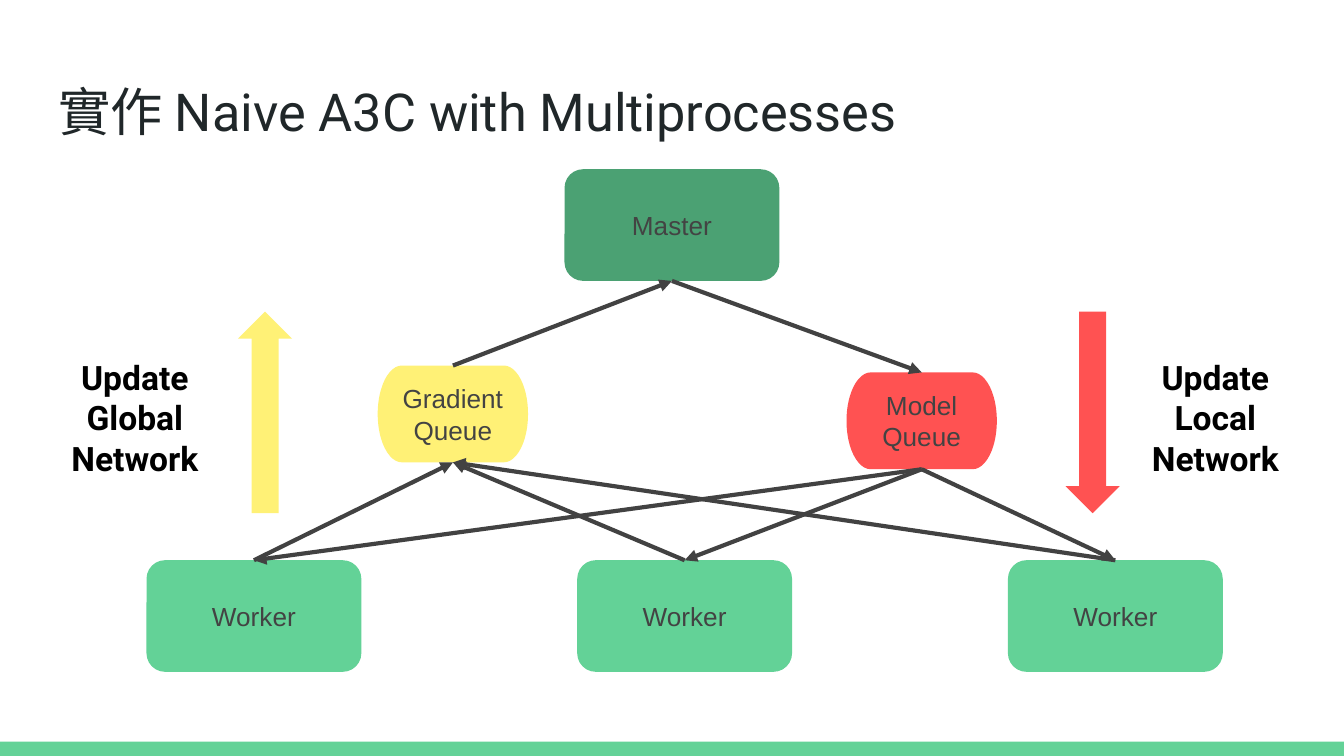
from dataclasses import dataclass

from lxml import etree
from pptx import Presentation
from pptx.dml.color import RGBColor
from pptx.enum.shapes import MSO_CONNECTOR, MSO_SHAPE
from pptx.enum.text import MSO_ANCHOR, PP_ALIGN
from pptx.oxml.ns import qn
from pptx.util import Cm, Pt

BAR, BOX = MSO_SHAPE.RECTANGLE, MSO_SHAPE.ROUNDED_RECTANGLE
QUEUE, BLOCK_ARROW = MSO_SHAPE.FLOWCHART_TERMINATOR, MSO_SHAPE.UP_ARROW
STRAIGHT = MSO_CONNECTOR.STRAIGHT
LEFT, CENTER = PP_ALIGN.LEFT, PP_ALIGN.CENTER
TOP, MIDDLE = MSO_ANCHOR.TOP, MSO_ANCHOR.MIDDLE
TOP_SITE, BOTTOM_SITE = 0, 2

COLORS = {
    "title": "202729",
    "label": "000000",
    "node_text": "434343",
    "line": "424242",
    "master": "4BA173",
    "worker": "63D297",
    "gradient": "FFF176",
    "model": "FF5252",
}
TITLE_FONT = {"name": "Roboto", "size": Pt(28), "bold": False}
LABEL_FONT = {"name": "Roboto", "size": Pt(18), "bold": True}
NODE_FONT = {"name": "Arial", "size": Pt(14), "bold": False}

BOX_SIZE = (4.06, 2.11)
QUEUE_SIZE = (2.84, 1.83)
ARROW_SIZE = (1.02, 3.81)
LABEL_SIZE = (3.78, 2.9)
WORKER_LEFT, WORKER_TOP, WORKER_PITCH = 2.77, 10.59, 8.14


@dataclass(frozen=True)
class Block:
    """A filled shape, with its place and size in centimetres."""
    kind: int
    left: float
    top: float
    size: tuple[float, float]
    color: str
    text: str = ""
    rotation: int = 0


@dataclass(frozen=True)
class Label:
    left: float
    text: str


MASTER = Block(BOX, 10.67, 3.2, BOX_SIZE, "master", "Master")
GRADIENT_QUEUE = Block(QUEUE, 7.14, 6.91, QUEUE_SIZE, "gradient", "Gradient\nQueue")
MODEL_QUEUE = Block(QUEUE, 16, 7.04, QUEUE_SIZE, "model", "Model\nQueue")
WORKERS = [
    Block(BOX, WORKER_LEFT + index * WORKER_PITCH, WORKER_TOP, BOX_SIZE, "worker", "Worker")
    for index in range(3)
]
FOOTER_BAR = Block(BAR, 0, 14.02, (25.4, 0.27), "worker")
DIRECTION_ARROWS = [
    Block(BLOCK_ARROW, 4.5, 5.89, ARROW_SIZE, "gradient"),
    Block(BLOCK_ARROW, 20.14, 5.89, ARROW_SIZE, "model", rotation=180),
]
LABELS = [
    Label(0.66, "Update Global Network"),
    Label(21.08, "Update Local\nNetwork"),
]


def write_text(shape, text: str, font: dict, color: str, alignment, anchor) -> None:
    frame = shape.text_frame
    frame.text = text
    frame_format = {"word_wrap": True, "vertical_anchor": anchor}
    for side in ("left", "top", "right", "bottom"):
        frame_format[f"margin_{side}"] = Cm(0.25)
    for name, value in frame_format.items():
        setattr(frame, name, value)
    for paragraph in frame.paragraphs:
        paragraph.alignment = alignment
        for run in paragraph.runs:
            for name, value in font.items():
                setattr(run.font, name, value)
            run.font.color.rgb = RGBColor.from_string(COLORS[color])


def place(shape, left: float, top: float, width: float, height: float) -> None:
    bounds = {"left": left, "top": top, "width": width, "height": height}
    for name, value in bounds.items():
        setattr(shape, name, Cm(value))


def add_block(slide, block: Block):
    width, height = block.size
    shape = slide.shapes.add_shape(
        block.kind, Cm(block.left), Cm(block.top), Cm(width), Cm(height)
    )
    shape.shadow.inherit = False
    shape.rotation = block.rotation
    shape.fill.solid()
    shape.fill.fore_color.rgb = RGBColor.from_string(COLORS[block.color])
    shape.line.fill.background()
    if block.text:
        write_text(shape, block.text, NODE_FONT, "node_text", CENTER, MIDDLE)
    return shape


def add_flow(slide, source, target) -> None:
    """Join two shapes by an arrow between their facing edges."""
    upward = source.top > target.top
    connector = slide.shapes.add_connector(STRAIGHT, 0, 0, 0, 0)
    connector.begin_connect(source, TOP_SITE if upward else BOTTOM_SITE)
    connector.end_connect(target, BOTTOM_SITE if upward else TOP_SITE)
    connector.line.width = Pt(2.25)
    connector.line.color.rgb = RGBColor.from_string(COLORS["line"])
    properties = connector.line._get_or_add_ln()
    etree.SubElement(properties, qn("a:tailEnd"), type="triangle")
    etree.SubElement(properties.getparent(), qn("a:effectLst"))


def main() -> None:
    presentation = Presentation()
    presentation.slide_width, presentation.slide_height = Cm(25.4), Cm(14.29)
    slide = presentation.slides.add_slide(presentation.slide_layouts[5])

    title = slide.shapes.title
    place(title, 0.86, 1.24, 23.67, 1.6)
    write_text(title, "實作 Naive A3C with Multiprocesses", TITLE_FONT, "title", LEFT, TOP)

    add_block(slide, FOOTER_BAR)
    master = add_block(slide, MASTER)
    workers = [add_block(slide, worker) for worker in WORKERS]
    gradient_queue = add_block(slide, GRADIENT_QUEUE)
    model_queue = add_block(slide, MODEL_QUEUE)

    for worker in workers:
        add_flow(slide, worker, gradient_queue)
        add_flow(slide, model_queue, worker)
    add_flow(slide, gradient_queue, master)
    add_flow(slide, master, model_queue)

    for arrow in DIRECTION_ARROWS:
        add_block(slide, arrow)
    for label in LABELS:
        width, height = LABEL_SIZE
        box = slide.shapes.add_textbox(Cm(label.left), Cm(6.5), Cm(width), Cm(height))
        write_text(box, label.text, LABEL_FONT, "label", CENTER, TOP)

    presentation.save("out.pptx")


if __name__ == "__main__":
    main()
